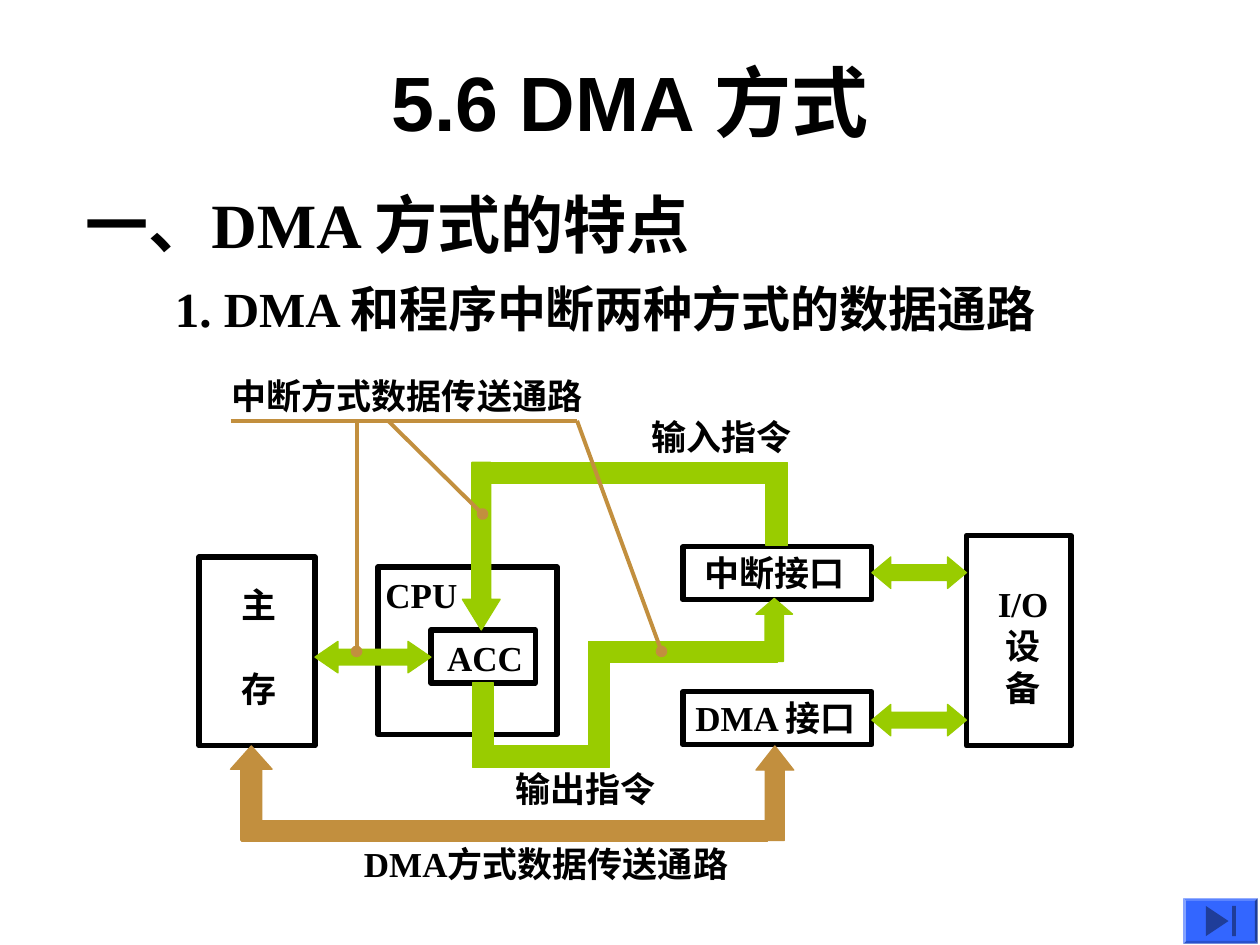
import pptx
import pptx.dml.color
import pptx.enum.shapes
import pptx.enum.text
import pptx.oxml
import pptx.oxml.ns
import pptx.util

Inches = pptx.util.Inches
Pt = pptx.util.Pt
RGBColor = pptx.dml.color.RGBColor
Shape = pptx.enum.shapes.MSO_SHAPE
Align = pptx.enum.text.PP_ALIGN
Anchor = pptx.enum.text.MSO_ANCHOR
AutoSize = pptx.enum.text.MSO_AUTO_SIZE

BLACK = RGBColor(0x00, 0x00, 0x00)
GREEN = RGBColor(0x99, 0xCC, 0x00)
BROWN = RGBColor(0xC2, 0x8F, 0x3E)
BLUE = RGBColor(0x33, 0x66, 0xFF)
DARK_BLUE = RGBColor(0x1F, 0x3D, 0x99)
BAR = 0.17


def add_text(page, at, lines, size=20, font="Times New Roman",
             align=Align.LEFT, gap=0):
    """Add bold text, one paragraph a line, with gap points between them."""
    box = page.shapes.add_textbox(*map(Inches, at))
    frame = box.text_frame
    frame.word_wrap = False
    frame.auto_size = AutoSize.SHAPE_TO_FIT_TEXT
    for index, line in enumerate(lines):
        para = frame.paragraphs[0] if index == 0 else frame.add_paragraph()
        para.text = line
        para.alignment = align
        if index and gap:
            para.space_before = Pt(gap)
        para.font.name = font
        para.font.size = Pt(size)
        para.font.bold = True
        para.font.color.rgb = BLACK
    return box


def add_frame(page, at):
    """Add an unfilled black rectangle."""
    frame = page.shapes.add_shape(Shape.RECTANGLE, *map(Inches, at))
    frame.shadow.inherit = False
    frame.fill.background()
    frame.line.color.rgb = BLACK
    frame.line.width = Pt(3)


def add_solid(page, kind, at, color, adjustments=(), outlined=True):
    solid = page.shapes.add_shape(kind, *map(Inches, at))
    solid.shadow.inherit = False
    for index, value in enumerate(adjustments):
        solid.adjustments[index] = value
    solid.fill.solid()
    solid.fill.fore_color.rgb = color
    if outlined:
        solid.line.color.rgb = color
        solid.line.width = Pt(0.75)
    else:
        solid.line.fill.background()
    return solid


def add_leader(page, start, end, dotted=True):
    """Add a brown line, ending in a dot unless dotted is False."""
    leader = page.shapes.add_connector(
        pptx.enum.shapes.MSO_CONNECTOR.STRAIGHT, *map(Inches, start + end))
    leader.line.color.rgb = BROWN
    leader.line.width = Pt(2.25)
    if dotted:
        tail = pptx.oxml.parse_xml(
            f'<a:tailEnd {pptx.oxml.ns.nsdecls("a")} type="oval"/>')
        leader.line._get_or_add_ln().append(tail)
    leader._element.spPr.append(pptx.oxml.parse_xml(
        f'<a:effectLst {pptx.oxml.ns.nsdecls("a")}/>'))


def add_headings(page):
    title = add_text(page, (0.75, 0.17, 8.5, 1.25), ["5.6 DMA 方式"],
                     44, "Arial", Align.CENTER)
    title.text_frame.auto_size = AutoSize.NONE
    title.text_frame.word_wrap = True
    title.text_frame.vertical_anchor = Anchor.MIDDLE
    add_text(page, (0.58, 1.42, 5.58, 0.7), ["一、DMA 方式的特点"], 36)
    add_text(page, (1.29, 2.16, 7.14, 0.57),
             ["1. DMA 和程序中断两种方式的数据通路"], 28)


def add_units(page):
    """Add the memory, CPU, interface and device boxes with their names."""
    for at in ((3, 4.5, 1.42, 1.33), (1.58, 4.42, 0.92, 1.5),
               (3.42, 5, 0.83, 0.42), (5.42, 4.34, 1.5, 0.42),
               (5.42, 5.49, 1.5, 0.42), (7.67, 4.25, 0.83, 1.67)):
        add_frame(page, at)
    add_text(page, (2.96, 4.5, 0.78, 0.44), ["CPU"])
    add_text(page, (3.45, 5, 0.8, 0.42), ["ACC"])
    add_text(page, (5.49, 4.33, 1.31, 0.44), ["中断接口"])
    add_text(page, (5.42, 5.48, 1.56, 0.44), ["DMA 接口"])
    add_text(page, (1.82, 4.58, 0.48, 1.1), ["主", "存"], gap=24)
    add_text(page, (7.82, 4.57, 0.6, 1.1), ["I/O", "设", "备"],
             align=Align.CENTER)


def add_paths(page):
    """Add the green interrupt paths and the brown DMA path."""
    for at, color in (((3.75, 5.42, BAR, 0.58), GREEN),
                      ((3.75, 5.92, 1, BAR), GREEN),
                      ((4.67, 5.17, BAR, 0.92), GREEN),
                      ((4.67, 5.09, 1.5, BAR), GREEN),
                      ((6.08, 3.75, BAR, 0.58), GREEN),
                      ((3.75, 3.67, 2.5, BAR), GREEN),
                      ((1.92, 6.51, 4.17, BAR), BROWN)):
        add_solid(page, Shape.RECTANGLE, at, color)
    for kind, at, color, head in (
            (Shape.UP_ARROW, (6, 4.75, 0.29, 0.5), GREEN, 0.43),
            (Shape.DOWN_ARROW, (3.67, 3.67, 0.3, 1.33), GREEN, 0.81),
            (Shape.LEFT_RIGHT_ARROW, (2.5, 5.09, 0.92, 0.25), GREEN, 0.73),
            (Shape.LEFT_RIGHT_ARROW, (6.92, 4.42, 0.75, 0.25), GREEN, 0.6),
            (Shape.LEFT_RIGHT_ARROW, (6.92, 5.59, 0.75, 0.25), GREEN, 0.6),
            (Shape.UP_ARROW, (1.83, 5.92, 0.33, 0.75), BROWN, 0.56),
            (Shape.UP_ARROW, (6, 5.92, 0.3, 0.75), BROWN, 0.64)):
        add_solid(page, kind, at, color, (0.5, head))


def add_path_names(page):
    add_leader(page, (1.83, 3.34), (4.58, 3.34), dotted=False)
    for start, end in (((2.83, 3.34), (2.83, 5.17)),
                       ((3.08, 3.34), (3.83, 4.08)),
                       ((4.58, 3.34), (5.25, 5.17))):
        add_leader(page, start, end)
    for at, name in (((1.74, 2.92, 2.98, 0.44), "中断方式数据传送通路"),
                     ((5.07, 3.25, 1.31, 0.44), "输入指令"),
                     ((3.99, 6.04, 1.31, 0.44), "输出指令"),
                     ((2.79, 6.64, 3.16, 0.44), "DMA方式数据传送通路")):
        add_text(page, at, [name])


def add_end_button(page):
    add_solid(page, Shape.BEVEL, (9.39, 7.13, 0.59, 0.36), BLUE, (0.06,),
              outlined=False)
    triangle = add_solid(page, Shape.ISOSCELES_TRIANGLE,
                         (9.54, 7.22, 0.24, 0.18), DARK_BLUE, outlined=False)
    triangle.rotation = 90
    add_solid(page, Shape.RECTANGLE, (9.78, 7.19, 0.03, 0.24), DARK_BLUE,
              outlined=False)


def main():
    deck = pptx.Presentation()
    deck.slide_width = Inches(10)
    deck.slide_height = Inches(7.5)
    page = deck.slides.add_slide(deck.slide_layouts[6])
    add_headings(page)
    add_units(page)
    add_paths(page)
    add_path_names(page)
    add_end_button(page)
    deck.save("out.pptx")


if __name__ == "__main__":
    main()
